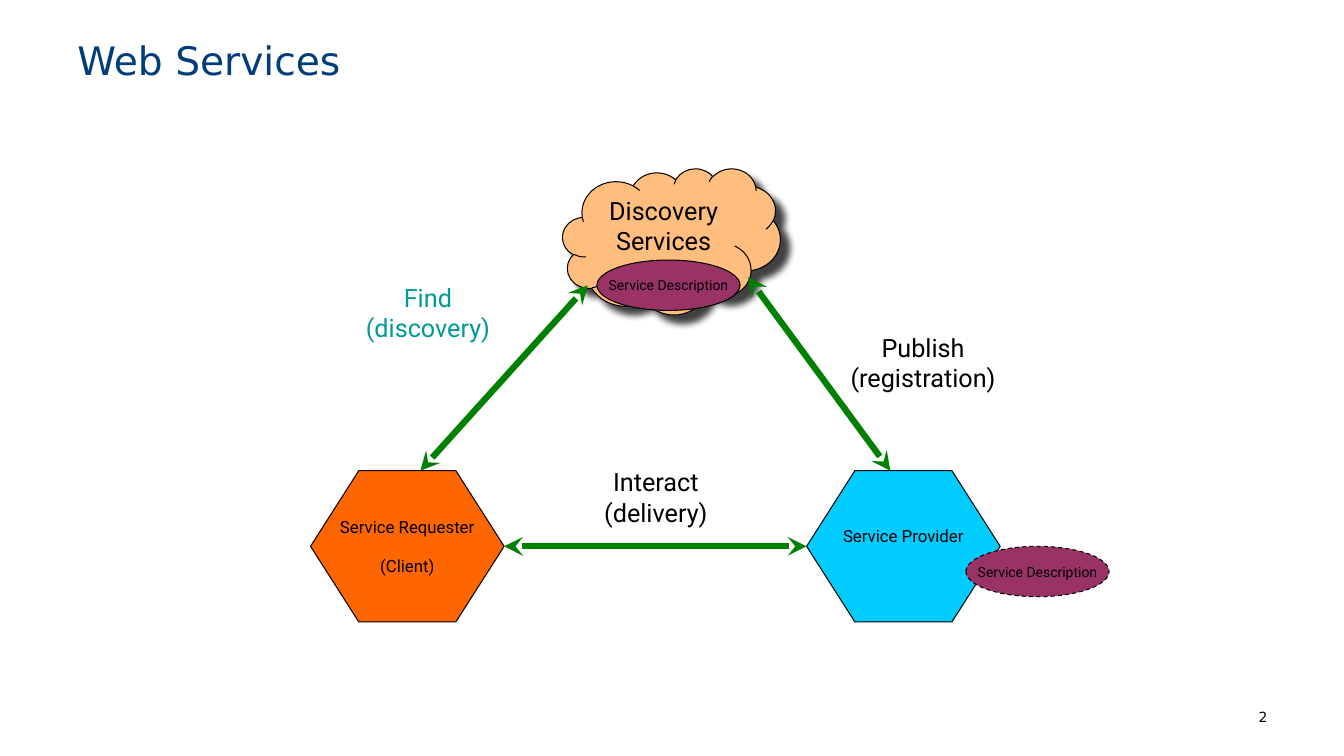
from lxml.etree import SubElement
from pptx import Presentation
from pptx.dml.color import RGBColor
from pptx.enum.dml import MSO_LINE
from pptx.enum.shapes import MSO_CONNECTOR, MSO_SHAPE
from pptx.enum.text import MSO_ANCHOR, PP_ALIGN
from pptx.oxml.ns import qn
from pptx.util import Inches, Pt

TITLE_FONT = "DejaVu Sans"
DIAGRAM_FONT = "Roboto"
BLACK = "000000"
TEAL = "009999"
ORANGE = "FF6600"
SKY = "00CCFF"
PEACH = "FFBE7D"
PLUM = "993366"
GREEN = "008000"


def color(hex_text):
    return RGBColor.from_string(hex_text)


def write(shape, lines, size, font=DIAGRAM_FONT, ink=BLACK, align=PP_ALIGN.CENTER,
          anchor=MSO_ANCHOR.MIDDLE, wrap=False, gap=0):
    """Fill a shape with one paragraph per line, gap points apart."""
    frame = shape.text_frame
    frame.word_wrap = wrap
    frame.vertical_anchor = anchor
    for index, line in enumerate(lines):
        para = frame.paragraphs[0] if index == 0 else frame.add_paragraph()
        para.text = line
        para.alignment = align
        if index and gap:
            para.space_before = Pt(gap)
        para.font.size = Pt(size)
        para.font.name = font
        para.font.color.rgb = color(ink)


def add_text(page, box, lines, size, **style):
    shape = page.shapes.add_textbox(*map(Inches, box))
    write(shape, lines, size, **style)


def add_filled(page, kind, box, fill):
    shape = page.shapes.add_shape(kind, *map(Inches, box))
    shape.shadow.inherit = False
    shape.fill.solid()
    shape.fill.fore_color.rgb = color(fill)
    shape.line.color.rgb = color(BLACK)
    shape.line.width = Pt(0.75)
    return shape


def add_party(page, left, top, fill, lines):
    hexagon = add_filled(page, MSO_SHAPE.HEXAGON, (left, top, 1.92, 1.5), fill)
    hexagon.adjustments[0] = 0.319
    write(hexagon, lines, 12, gap=14)
    return hexagon


def add_description(page, left, top):
    ellipse = add_filled(page, MSO_SHAPE.OVAL, (left, top, 1.42, 0.5), PLUM)
    write(ellipse, ["Service Description"], 10)
    return ellipse


def add_cloud(page, box):
    cloud = add_filled(page, MSO_SHAPE.CLOUD, box, PEACH)
    write(cloud, ["Discovery Services"], 18, anchor=MSO_ANCHOR.TOP, wrap=True)
    effects = cloud._element.spPr.find(qn("a:effectLst"))
    shadow = SubElement(effects, qn("a:outerShdw"), blurRad=str(Pt(5)),
                        dist=str(Pt(8.5)), dir="2700000", algn="ctr", rotWithShape="0")
    tint = SubElement(shadow, qn("a:srgbClr"), val=BLACK)
    SubElement(tint, qn("a:alpha"), val="75000")


def add_exchange(page, start, end):
    """Draw a thick arrow with a head at both ends."""
    arrow = page.shapes.add_connector(MSO_CONNECTOR.STRAIGHT, *map(Inches, start + end))
    arrow.line.color.rgb = color(GREEN)
    arrow.line.width = Pt(4.5)
    outline = arrow.line._get_or_add_ln()
    for tag in ("a:headEnd", "a:tailEnd"):
        SubElement(outline, qn(tag), type="stealth")
    SubElement(arrow._element.spPr, qn("a:effectLst"))


def add_diagram(page, left, top):
    """Place the service triangle with its top left corner at the given point."""
    party_top = top + 3
    middle = party_top + 0.75
    add_party(page, left, party_top, ORANGE, ["Service Requester", "(Client)"])
    provider = add_party(page, left + 4.92, party_top, SKY, ["Service Provider"])
    provider.text_frame.margin_bottom = Inches(0.25)
    add_cloud(page, (left + 2.5, top, 2.16, 1.45))

    add_exchange(page, (left + 1.09, party_top), (left + 2.75, top + 1.16))
    add_exchange(page, (left + 5.75, party_top), (left + 4.34, top + 1.08))
    add_exchange(page, (left + 1.92, middle), (left + 4.92, middle))

    labels = [
        (5.23, 1.58, 1.69, BLACK, ["Publish", "(registration)"]),
        (0.45, 1.08, 1.43, TEAL, ["Find", "(discovery)"]),
        (2.78, 2.91, 1.29, BLACK, ["Interact", "(delivery)"]),
    ]
    for across, down, width, ink, lines in labels:
        add_text(page, (left + across, top + down, width, 0.7), lines, 18,
                 ink=ink, anchor=MSO_ANCHOR.TOP)

    add_description(page, left + 2.84, top + 0.91)
    published = add_description(page, left + 6.5, middle)
    published.line.dash_style = MSO_LINE.DASH


def main():
    deck = Presentation()
    deck.slide_width = Inches(13.33)
    deck.slide_height = Inches(7.5)
    page = deck.slides.add_slide(deck.slide_layouts[6])
    add_text(page, (9.56, 6.98, 3.11, 0.37), ["2"], 10, font=TITLE_FONT,
             align=PP_ALIGN.RIGHT, anchor=MSO_ANCHOR.TOP, wrap=True)
    add_text(page, (0.67, -0.03, 12, 1.25), ["Web Services"], 28, font=TITLE_FONT,
             ink="003D7D", align=PP_ALIGN.LEFT, wrap=True)
    add_diagram(page, 3.08, 1.67)
    deck.save("out.pptx")


if __name__ == "__main__":
    main()
